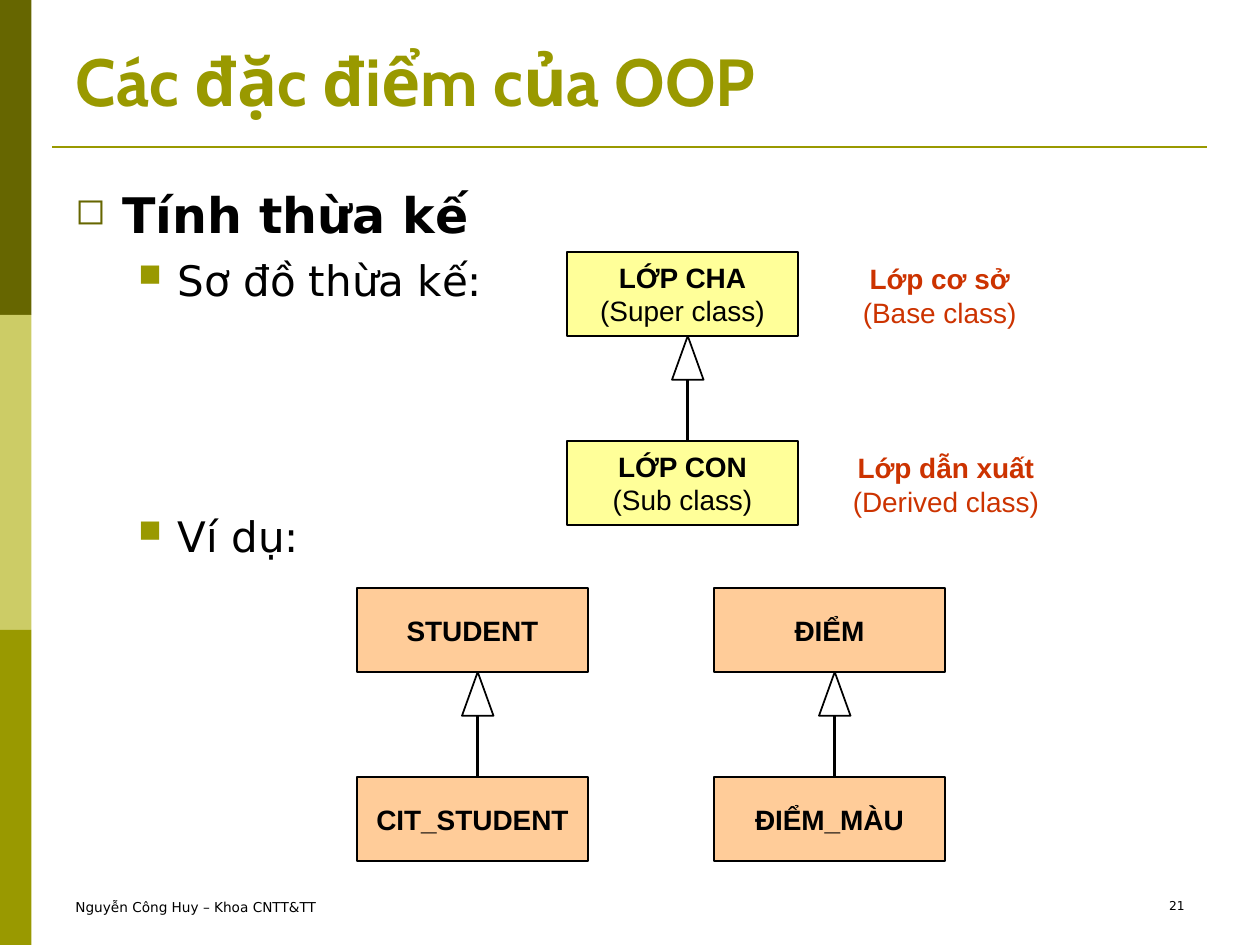
from lxml import etree
from pptx import Presentation
from pptx.dml.color import RGBColor
from pptx.enum import shapes, text
from pptx.oxml.ns import qn
from pptx.util import Pt

BOX_W, BOX_H, STEP = 132, 48, 108
TRI_X, TRI_W, TRI_H = 60, 18, 25


def rgb(value):
    return RGBColor.from_string(value)


def write(sp, lines, font, color, align, wrap=True):
    """Fill a shape with lines given as (text, size, bold)."""
    tf = sp.text_frame
    tf.word_wrap = wrap
    for i, (line, size, bold) in enumerate(lines):
        p = tf.paragraphs[0] if i == 0 else tf.add_paragraph()
        p.text = line
        p.alignment = align
        p.font.name, p.font.size, p.font.bold = font, Pt(size), bold
        p.font.color.rgb = rgb(color)
    return tf


prs = Presentation()
prs.slide_width, prs.slide_height = Pt(720), Pt(540)
s = prs.slides.add_slide(prs.slide_layouts[5])
LEFT, CENTER, RIGHT = text.PP_ALIGN.LEFT, text.PP_ALIGN.CENTER, text.PP_ALIGN.RIGHT

# Side bands
for i, color in enumerate(("666600", "CCCC66", "999900")):
    sp = s.shapes.add_shape(shapes.MSO_SHAPE.RECTANGLE, 0, Pt(180 * i), Pt(18), Pt(180))
    sp.shadow.inherit = False
    sp.fill.solid()
    sp.fill.fore_color.rgb = rgb(color)
    sp.line.fill.background()

# Title
title = s.shapes.title
title.left, title.top, title.width, title.height = Pt(36), Pt(18), Pt(672), Pt(54)
tf = write(title, [("Các đặc điểm của OOP", 38, True)], "Cabin", "999900", LEFT)
tf.vertical_anchor = text.MSO_ANCHOR.BOTTOM
tf.auto_size = text.MSO_AUTO_SIZE.NONE

# Bulleted text: (left, top, width, height, lines)
bullets = {
    28: ("◻", "666600", 27, 27),
    24: ("■", "999900", 58.5, 22.5),
}
for x, y, w, h, lines in (
    (36, 102, 258, 84, [("Tính thừa kế", 28, True), ("Sơ đồ thừa kế:", 24, False)]),
    (36, 288, 162, 42, [("Ví dụ:", 24, False)]),
):
    sp = s.shapes.add_textbox(Pt(x), Pt(y), Pt(w), Pt(h))
    tf = write(sp, lines, "DejaVu Sans", "000000", LEFT)
    for i, (p, line) in enumerate(zip(tf.paragraphs, lines)):
        char, color, margin, hang = bullets[line[1]]
        if i:
            p.space_before = Pt(6)
        pPr = p._p.get_or_add_pPr()
        pPr.set("marL", str(Pt(margin)))
        pPr.set("indent", str(-Pt(hang)))
        clr = etree.Element(qn("a:buClr"))
        etree.SubElement(clr, qn("a:srgbClr"), val=color)
        size = etree.Element(qn("a:buSzPct"), val="75000")
        mark = etree.Element(qn("a:buChar"), char=char)
        for el in (clr, size, mark):
            pPr.find(qn("a:defRPr")).addprevious(el)

# Class diagrams: parent box above child box, joined by an inheritance arrow
for x, y, fill, parent, child in (
    (324, 144, "FFFF99", ["LỚP CHA", "(Super class)"], ["LỚP CON", "(Sub class)"]),
    (204, 336, "FFCC99", ["STUDENT"], ["CIT_STUDENT"]),
    (408, 336, "FFCC99", ["ĐIỂM"], ["ĐIỂM_MÀU"]),
):
    for i, names in enumerate((parent, child)):
        sp = s.shapes.add_shape(shapes.MSO_SHAPE.RECTANGLE,
                                Pt(x), Pt(y + i * STEP), Pt(BOX_W), Pt(BOX_H))
        sp.shadow.inherit = False
        sp.fill.solid()
        sp.fill.fore_color.rgb = rgb(fill)
        sp.line.color.rgb = rgb("000000")
        sp.line.width = Pt(0.75)
        lines = [(name, 16, j == 0) for j, name in enumerate(names)]
        tf = write(sp, lines, "Arial", "000000", CENTER, wrap=False)
        tf.vertical_anchor = text.MSO_ANCHOR.MIDDLE

    head = s.shapes.add_shape(shapes.MSO_SHAPE.ISOSCELES_TRIANGLE,
                              Pt(x + TRI_X), Pt(y + BOX_H), Pt(TRI_W), Pt(TRI_H))
    head.shadow.inherit = False
    head.fill.background()
    head.line.color.rgb = rgb("000000")
    head.line.width = Pt(1)

# Connector lines: the title rule and the arrow shafts
shafts = [(x + TRI_X + TRI_W / 2, y + STEP, x + TRI_X + TRI_W / 2, y + BOX_H + TRI_H)
          for x, y in ((324, 144), (204, 336), (408, 336))]
rule = (30, 84, 690, 84)
for x1, y1, x2, y2 in [rule] + shafts:
    line = s.shapes.add_connector(shapes.MSO_CONNECTOR.STRAIGHT,
                                  Pt(x1), Pt(y1), Pt(x2), Pt(y2))
    line.line.color.rgb = rgb("999900" if y1 == y2 else "000000")
    line.line.width = Pt(1.5)
    etree.SubElement(line._element.spPr, qn("a:effectLst"))

# Red labels beside the yellow boxes
for x, y, w, names in (
    (486, 146, 102, ("Lớp cơ sở", "(Base class)")),
    (480, 254, 121, ("Lớp dẫn xuất", "(Derived class)")),
):
    sp = s.shapes.add_textbox(Pt(x), Pt(y), Pt(w), Pt(46))
    lines = [(name, 16, j == 0) for j, name in enumerate(names)]
    tf = write(sp, lines, "Arial", "CC3300", CENTER, wrap=False)
    tf.auto_size = text.MSO_AUTO_SIZE.SHAPE_TO_FIT_TEXT

# Footer and page number
for x, w, label, size, align in (
    (36, 228, "Nguyễn Công Huy – Khoa CNTT&TT", 7.8, LEFT),
    (516, 168, "21", 7, RIGHT),
):
    sp = s.shapes.add_textbox(Pt(x), Pt(510), Pt(w), Pt(18))
    write(sp, [(label, size, False)], "DejaVu Sans", "000000", align)

prs.save("out.pptx")
